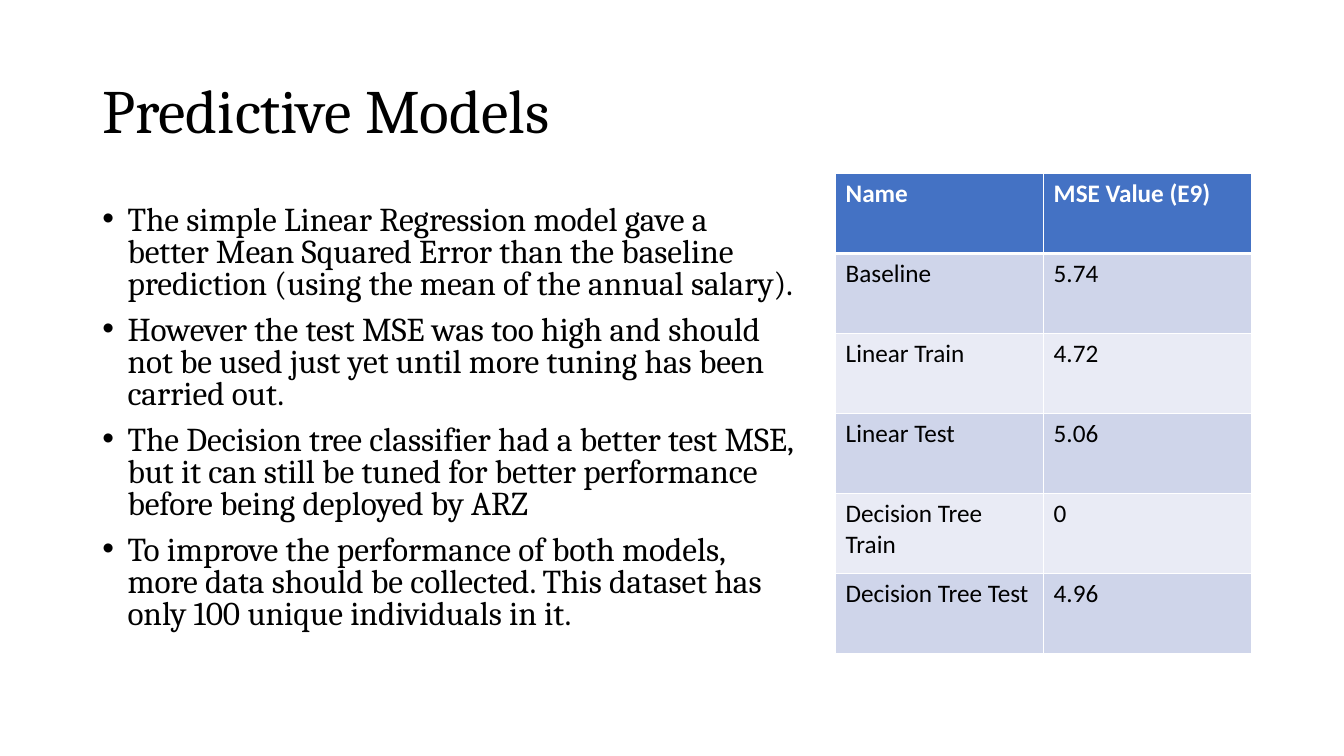
from dataclasses import dataclass

from lxml import etree
from pptx import Presentation
from pptx.dml.color import RGBColor
from pptx.enum.text import MSO_ANCHOR, MSO_AUTO_SIZE, PP_ALIGN
from pptx.oxml.ns import qn
from pptx.util import Pt

LEFT = PP_ALIGN.LEFT
MIDDLE = MSO_ANCHOR.MIDDLE
NO_AUTOFIT = MSO_AUTO_SIZE.NONE
TITLE_ONLY = 5

COLORS = {
    "text": "000000",
    "white": "FFFFFF",
    "header": "4472C4",
    "band_dark": "CFD5EA",
    "band_light": "E9EBF5",
}


@dataclass
class Frame:
    left: float
    top: float
    width: float
    height: float


@dataclass
class Style:
    font: str
    size: float
    color: str = "text"
    bold: bool = False


@dataclass
class Score:
    name: str
    value: str


TITLE_FRAME = Frame(66, 28.75, 828, 104.4)
BODY_FRAME = Frame(66, 143.75, 508, 342.6)
TABLE_FRAME = Frame(596.9, 124, 297.2, 342.6)

TITLE_STYLE = Style("Cambria", 44)
BODY_STYLE = Style("Cambria", 23.8)
HEADER_STYLE = Style("Calibri", 18, "white", True)
CELL_STYLE = Style("Calibri", 18)

FINDINGS = [
    "The simple Linear Regression model gave a better Mean Squared Error than "
    "the baseline prediction (using the mean of the annual salary).",
    "However the test MSE was too high and should not be used just yet until "
    "more tuning has been carried out.",
    "The Decision tree classifier had a better test MSE, but it can still be "
    "tuned for better performance before being deployed by ARZ",
    "To improve the performance of both models, more data should be collected. "
    "This dataset has only 100 unique individuals in it.",
]

SCORES = [
    Score("Name", "MSE Value (E9)"),
    Score("Baseline", "5.74"),
    Score("Linear Train", "4.72"),
    Score("Linear Test", "5.06"),
    Score("Decision Tree Train", "0"),
    Score("Decision Tree Test", "4.96"),
]


def bounds(frame: Frame) -> tuple:
    return Pt(frame.left), Pt(frame.top), Pt(frame.width), Pt(frame.height)


def write(para, text: str, style: Style) -> None:
    para.text = text
    para.alignment = LEFT
    para.font.name = style.font
    para.font.size = Pt(style.size)
    para.font.bold = style.bold
    para.font.color.rgb = RGBColor.from_string(COLORS[style.color])


def add_bullet(para, indent: float) -> None:
    properties = para._p.get_or_add_pPr()
    properties.set("marL", str(Pt(indent)))
    properties.set("indent", str(-Pt(indent)))
    bullet_font = etree.Element(qn("a:buFont"), typeface="Arial")
    bullet = etree.Element(qn("a:buChar"), char="•")
    run_defaults = properties.find(qn("a:defRPr"))
    run_defaults.addprevious(bullet_font)
    run_defaults.addprevious(bullet)


def set_borders(cell, top: float, bottom: float) -> None:
    properties = cell._tc.get_or_add_tcPr()
    widths = {"lnL": 1, "lnR": 1, "lnT": top, "lnB": bottom}
    for position, (side, width) in enumerate(widths.items()):
        line = etree.Element(qn(f"a:{side}"), w=str(Pt(width)))
        fill = etree.SubElement(line, qn("a:solidFill"))
        etree.SubElement(fill, qn("a:srgbClr"), val=COLORS["white"])
        properties.insert(position, line)


def add_title(page, text: str) -> None:
    title = page.shapes.title
    title.left, title.top, title.width, title.height = bounds(TITLE_FRAME)
    title.text_frame.auto_size = NO_AUTOFIT
    title.text_frame.vertical_anchor = MIDDLE
    para = title.text_frame.paragraphs[0]
    write(para, text, TITLE_STYLE)
    para.line_spacing = 0.9


def add_findings(page, findings: list[str]) -> None:
    frame = page.shapes.add_textbox(*bounds(BODY_FRAME)).text_frame
    frame.word_wrap = True
    for index, finding in enumerate(findings):
        para = frame.add_paragraph() if index else frame.paragraphs[0]
        write(para, finding, BODY_STYLE)
        para.line_spacing = 0.8
        para.space_before = Pt(10)
        add_bullet(para, 18)


def add_scores(page, scores: list[Score]) -> None:
    table = page.shapes.add_table(len(scores), 2, *bounds(TABLE_FRAME)).table
    for row, score in enumerate(scores):
        band = "band_dark" if row % 2 else "band_light"
        color = band if row else "header"
        style = CELL_STYLE if row else HEADER_STYLE
        for column, text in enumerate((score.name, score.value)):
            cell = table.cell(row, column)
            write(cell.text_frame.paragraphs[0], text, style)
            cell.fill.solid()
            cell.fill.fore_color.rgb = RGBColor.from_string(COLORS[color])
            set_borders(cell, 3 if row == 1 else 1, 1 if row else 3)


deck = Presentation()
deck.slide_width, deck.slide_height = Pt(960), Pt(540)
page = deck.slides.add_slide(deck.slide_layouts[TITLE_ONLY])
add_findings(page, FINDINGS)
add_title(page, "Predictive Models")
add_scores(page, SCORES)
deck.save("out.pptx")
